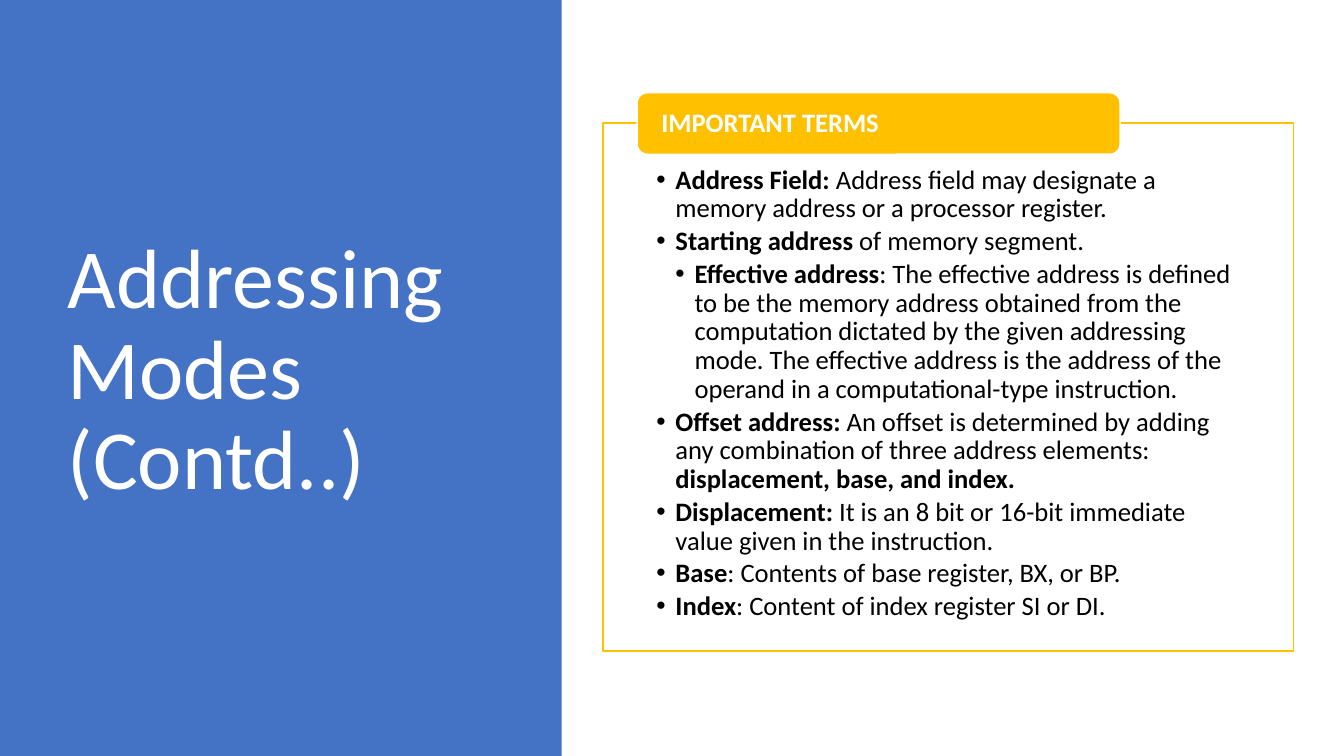
from lxml import etree
from pptx import Presentation
from pptx.dml.color import RGBColor
from pptx.enum.shapes import MSO_SHAPE
from pptx.enum.text import MSO_ANCHOR, MSO_AUTO_SIZE, PP_ALIGN
from pptx.oxml.ns import qn
from pptx.util import Inches, Pt

RECT, ROUNDED = MSO_SHAPE.RECTANGLE, MSO_SHAPE.ROUNDED_RECTANGLE
TOP, MIDDLE = MSO_ANCHOR.TOP, MSO_ANCHOR.MIDDLE
LEFT = PP_ALIGN.LEFT
NO_FIT = MSO_AUTO_SIZE.NONE

COLORS = {"blue": "4472C4", "gold": "FFC000", "white": "FFFFFF", "black": "000000"}
TERM_SIZE = 19
INDENT = 0.19

TERMS = [
    (1, [("Address Field: ", True),
         ("Address field may designate a memory address or a processor register.", False)]),
    (1, [("Starting address", True), (" of memory segment.", False)]),
    (2, [("Effective address", True),
         (": The effective address is defined to be the memory address obtained from "
          "the computation dictated by the given addressing mode. The effective address "
          "is the address of the operand in a computational-type instruction.", False)]),
    (1, [("Offset address:", True),
         (" An offset is determined by adding any combination of three address elements: ", False),
         ("displacement, base, and index.", True)]),
    (1, [("Displacement: ", True),
         ("It is an 8 bit or 16-bit immediate value given in the instruction.", False)]),
    (1, [("Base", True), (": Contents of base register, BX, or BP.", False)]),
    (1, [("Index", True), (": Content of index register SI or DI.", False)]),
]


class Deck:
    font = "Calibri"
    line_spacing = 0.9

    def __init__(self):
        self.prs = Presentation()
        self.prs.slide_width, self.prs.slide_height = Inches(13.33), Inches(7.5)
        self.slide = self.prs.slides.add_slide(self.prs.slide_layouts[5])

    def place(self, left, top, width, height):
        w, h = self.prs.slide_width / 100, self.prs.slide_height / 100
        return [round(v) for v in (left * w, top * h, width * w, height * h)]

    def box(self, kind, area, fill, line=None, opacity=100):
        box = self.slide.shapes.add_shape(kind, *self.place(*area))
        box.shadow.inherit = False
        box.fill.solid()
        box.fill.fore_color.rgb = RGBColor.from_string(COLORS[fill])
        if opacity < 100:
            color = box._element.spPr.find(qn("a:solidFill"))[0]
            etree.SubElement(color, qn("a:alpha"), val=str(opacity * 1000))
        if line:
            box.line.color.rgb = RGBColor.from_string(COLORS[line])
            box.line.width = Pt(1)
        else:
            box.line.fill.background()
        return box

    def frame(self, owner, anchor, insets):
        frame = owner.text_frame
        frame.word_wrap = True
        frame.auto_size = NO_FIT
        frame.vertical_anchor = anchor
        (frame.margin_left, frame.margin_top,
         frame.margin_right, frame.margin_bottom) = [Inches(i) for i in insets]
        return frame

    def add_runs(self, paragraph, runs, size, color, after=0):
        paragraph.alignment = LEFT
        paragraph.line_spacing = self.line_spacing
        paragraph.space_before = Pt(0)
        paragraph.space_after = Pt(after)
        for words, bold in runs:
            run = paragraph.add_run()
            run.text = words
            run.font.name = self.font
            run.font.size = Pt(size)
            run.font.bold = bold
            run.font.color.rgb = RGBColor.from_string(COLORS[color])

    def title(self, words, area, behind):
        title = self.slide.shapes.title
        title.left, title.top, title.width, title.height = self.place(*area)
        behind._element.addnext(title._element)
        frame = self.frame(title, MIDDLE, (0.1, 0.05, 0.1, 0.05))
        self.add_runs(frame.paragraphs[0], [(words, False)], 60, "white")

    def heading(self, owner, words):
        frame = self.frame(owner, MIDDLE, (0.21, 0.03, 0.21, 0.03))
        self.add_runs(frame.paragraphs[0], [(words, True)], TERM_SIZE, "white")

    def bullets(self, owner, items):
        frame = self.frame(owner, TOP, (0.53, 0.43, 0.53, 0.15))
        for index, (level, runs) in enumerate(items):
            paragraph = frame.add_paragraph() if index else frame.paragraphs[0]
            paragraph.level = level
            self.add_runs(paragraph, runs, TERM_SIZE, "black", after=0.15 * TERM_SIZE)
            props = paragraph._p.get_or_add_pPr()
            props.set("marL", str(Inches(INDENT * level)))
            props.set("indent", str(-Inches(INDENT)))
            etree.SubElement(props, qn("a:buFont"), typeface="Arial")
            etree.SubElement(props, qn("a:buChar"), char="•")


def main():
    deck = Deck()
    band = deck.box(RECT, (0, 0, 41.79, 100), "blue")
    deck.title("Addressing Modes (Contd..)", (4.28, 9.07, 31.21, 80.27), band)
    terms = deck.box(RECT, (44.86, 16.27, 51.39, 69.87), "white", "gold", opacity=90)
    deck.bullets(terms, TERMS)
    label = deck.box(ROUNDED, (47.41, 12.27, 35.93, 8.13), "gold", "white")
    deck.heading(label, "IMPORTANT TERMS")
    deck.prs.save("out.pptx")


if __name__ == "__main__":
    main()
